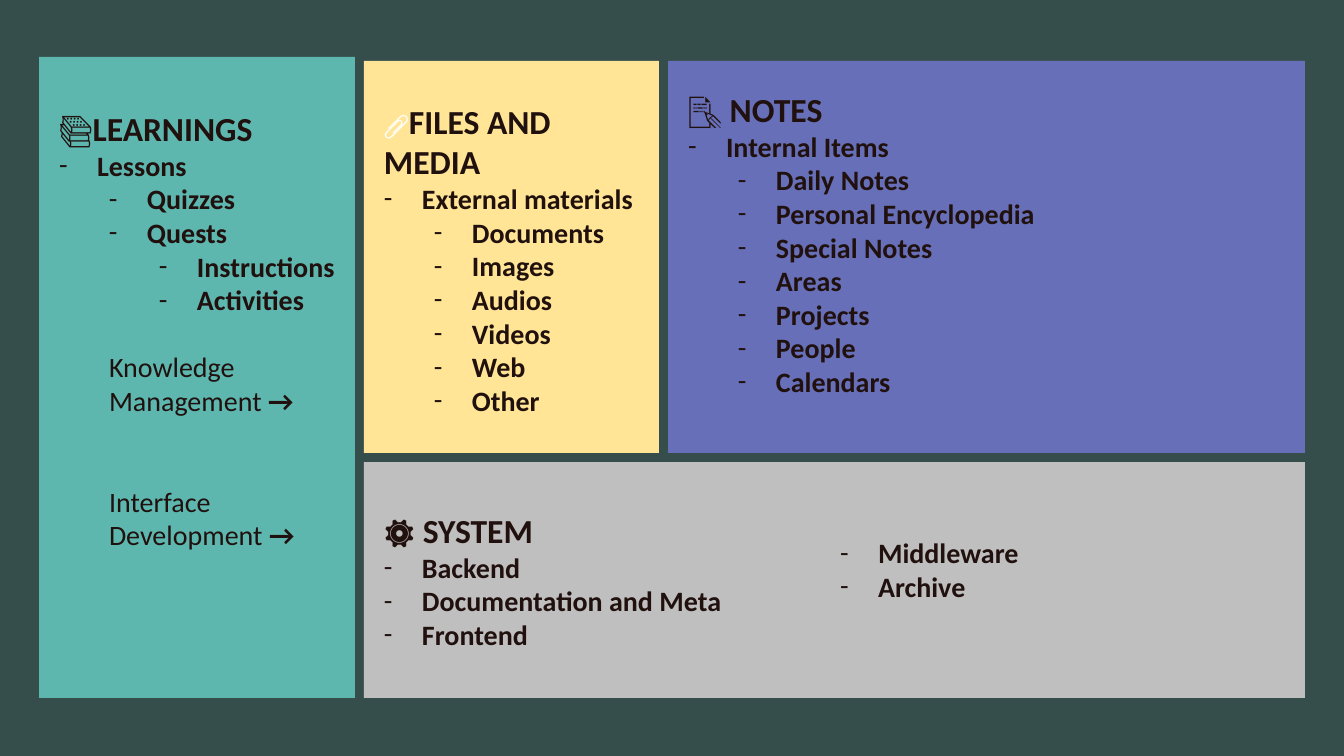
"""Build a dashboard slide with four coloured panels of nested lists."""
from lxml import etree
from pptx import Presentation
from pptx import util as u
from pptx.dml.color import RGBColor
from pptx.enum import shapes, text
from pptx.oxml import ns

INK = "20100E"
BODY_SIZE = 20
TITLE_SIZE = 24


def px(length):
    return u.Emu(round(length * 914400 / 100.8))


def colour(value):
    return RGBColor.from_string(value)


class Board:
    """Hold the text style and the current page of the dashboard."""

    def __init__(self, page):
        self.page = page
        self.font = "Calibri"

    def background(self, fill):
        self.page.background.fill.solid()
        self.page.background.fill.fore_color.rgb = colour(fill)

    def panel(self, left, top, width, height, fill, inset):
        box = self.page.shapes.add_shape(
            shapes.MSO_SHAPE.RECTANGLE, px(left), px(top), px(width), px(height))
        box.shadow.inherit = False
        box.fill.solid()
        box.fill.fore_color.rgb = colour(fill)
        box.line.fill.background()
        return self.frame(box, inset)

    def column(self, left, top, width, height, inset):
        box = self.page.shapes.add_textbox(px(left), px(top), px(width), px(height))
        return self.frame(box, inset)

    def frame(self, box, inset):
        frame = box.text_frame
        frame.word_wrap = True
        frame.vertical_anchor = text.MSO_ANCHOR.TOP
        frame.margin_left, frame.margin_right = px(20), px(10)
        frame.margin_top, frame.margin_bottom = px(inset), px(5)
        return frame

    def para(self, frame):
        para = frame.paragraphs[0]
        if para.runs:
            para = frame.add_paragraph()
        para.alignment = text.PP_ALIGN.LEFT
        return para

    def span(self, para, words, size=BODY_SIZE, bold=True, ink=INK, font=None):
        span = para.add_run()
        span.text = words
        span.font.size = u.Pt(size)
        span.font.bold = bold
        span.font.name = font or self.font
        span.font.color.rgb = colour(ink)

    def title(self, frame, words):
        self.span(self.para(frame), words, TITLE_SIZE)

    def items(self, frame, level, *names):
        for name in names:
            para = self.para(frame)
            para.level = level
            props = para._p.get_or_add_pPr()
            props.set("marL", str(px(38 + 50 * level)))
            props.set("indent", str(px(-38)))
            etree.SubElement(props, ns.qn("a:buFont")).set("typeface", self.font)
            etree.SubElement(props, ns.qn("a:buChar")).set("char", "-")
            self.span(para, name)

    def pointer(self, frame, words, gap):
        para = self.para(frame)
        para.level = 1
        para.space_before = u.Pt(gap)
        props = para._p.get_or_add_pPr()
        props.set("marL", str(px(50)))
        props.set("indent", "0")
        self.span(para, words + " ", bold=False)
        self.span(para, "→")


def main():
    deck = Presentation()
    deck.slide_width, deck.slide_height = px(1344), px(756)
    board = Board(deck.slides.add_slide(deck.slide_layouts[6]))
    board.background("354E4C")

    learnings = board.panel(39, 57, 316, 641, "5DB7AF", inset=51)
    board.title(learnings, "📚LEARNINGS")
    board.items(learnings, 0, "Lessons")
    board.items(learnings, 1, "Quizzes", "Quests")
    board.items(learnings, 2, "Instructions", "Activities")
    board.pointer(learnings, "Knowledge Management", gap=24)
    board.pointer(learnings, "Interface Development", gap=48)

    files = board.panel(364, 61, 295, 392, "FFE595", inset=40)
    board.span(board.para(files), "📎", 18, False, "FFFFFF", "Roboto")
    board.span(files.paragraphs[0], "FILES AND MEDIA", TITLE_SIZE)
    board.items(files, 0, "External materials")
    board.items(files, 1, "Documents", "Images", "Audios", "Videos", "Web", "Other")

    system = board.panel(364, 462, 941, 236, "BFBFBF", inset=48)
    board.title(system, "⚙️ SYSTEM")
    board.items(system, 0, "Backend", "Documentation and Meta", "Frontend")
    services = board.column(820, 462, 485, 236, inset=85)
    board.items(services, 0, "Middleware", "Archive")

    notes = board.panel(668, 61, 637, 392, "666FB7", inset=28)
    board.title(notes, "📝 NOTES")
    board.items(notes, 0, "Internal Items")
    board.items(notes, 1, "Daily Notes", "Personal Encyclopedia", "Special Notes",
                "Areas", "Projects", "People", "Calendars")

    deck.save("out.pptx")


if __name__ == "__main__":
    main()
